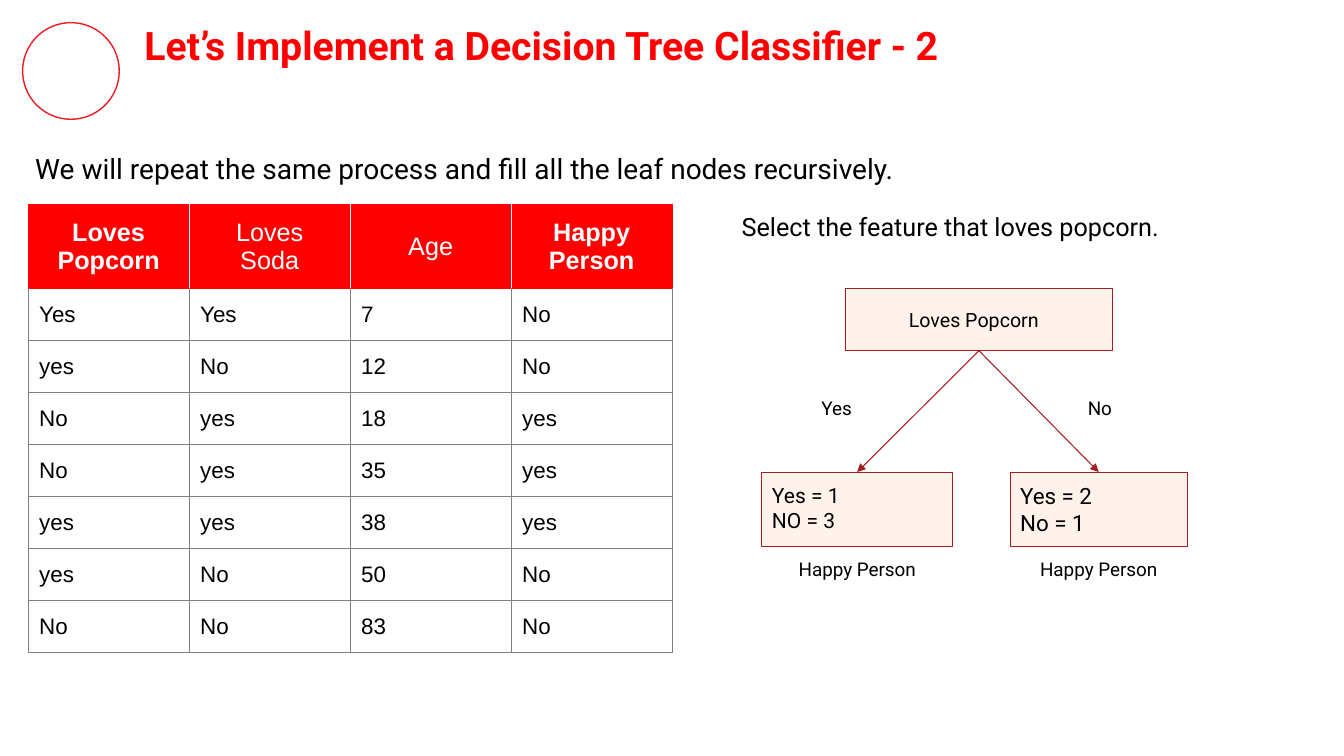
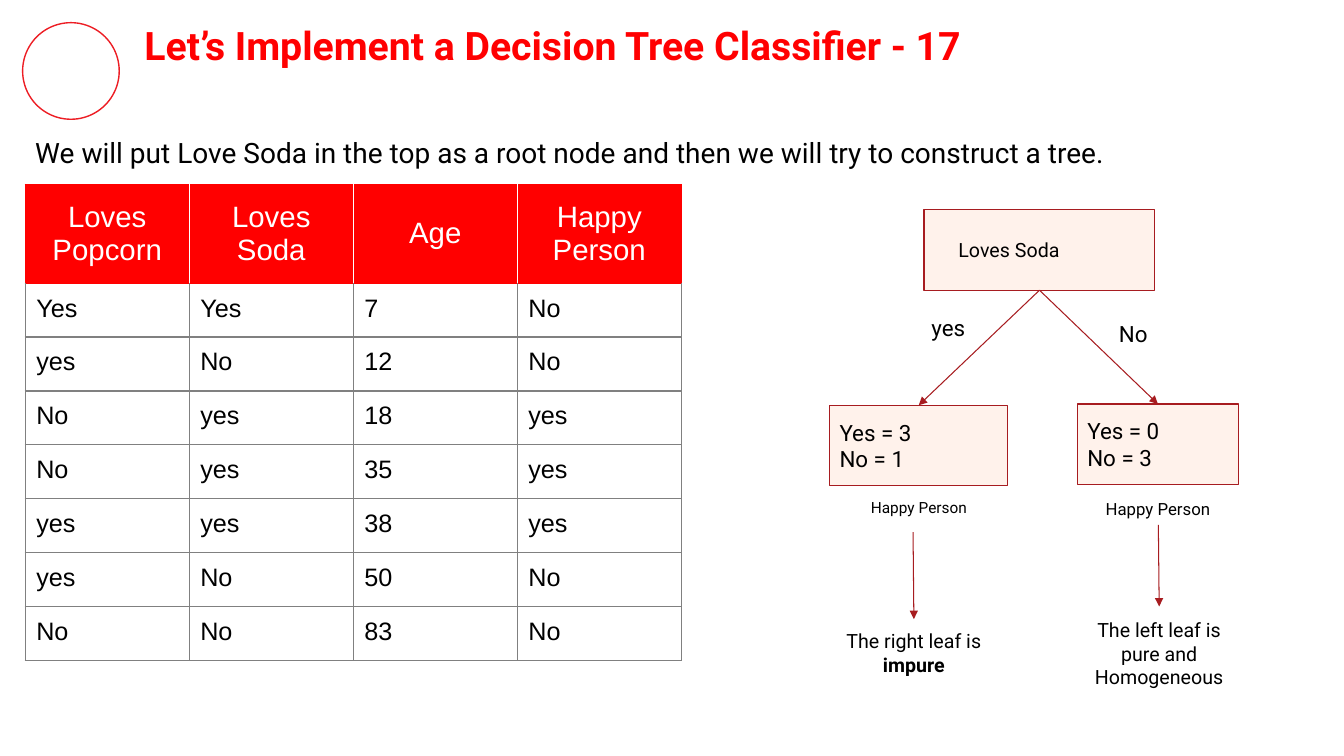
from lxml import etree
from pptx import Presentation, util as u
from pptx.dml.color import RGBColor
from pptx.enum import shapes, text
from pptx.oxml import ns

RED = RGBColor(0xFF, 0x00, 0x01)
HEAD = RGBColor(0xFF, 0x00, 0x00)
RING = RGBColor(0xED, 0x1D, 0x24)
WINE = RGBColor(0xA7, 0x1C, 0x20)
CREAM = RGBColor(0xFF, 0xF2, 0xEB)
GREY = RGBColor(0x80, 0x80, 0x80)
BLACK = RGBColor(0x00, 0x00, 0x00)
WHITE = RGBColor(0xFF, 0xFF, 0xFF)

COLS, ROWS = 160, 90
WIDE, HIGH = u.Inches(13.333), u.Inches(7.5)
LEFT, MID, RIGHT = text.PP_ALIGN.LEFT, text.PP_ALIGN.CENTER, text.PP_ALIGN.RIGHT
TOP, CENTER = text.MSO_ANCHOR.TOP, text.MSO_ANCHOR.MIDDLE
RECT, FLOW = shapes.MSO_SHAPE.RECTANGLE, shapes.MSO_SHAPE.FLOWCHART_PROCESS

PEOPLE = [
    ("Yes", "Yes", "7", "No"),
    ("yes", "No", "12", "No"),
    ("No", "yes", "18", "yes"),
    ("No", "yes", "35", "yes"),
    ("yes", "yes", "38", "yes"),
    ("yes", "No", "50", "No"),
    ("No", "No", "83", "No"),
]


def put(item, **vals):
    for key, val in vals.items():
        setattr(item, key, val)


def col(n):
    return round(n * WIDE / COLS)


def row(n):
    return round(n * HIGH / ROWS)


def area(x, y, w, h):
    return col(x), row(y), col(w), row(h)


def sub(root, tag, **vals):
    return etree.SubElement(root, ns.qn(tag), vals)


class Deck:
    def __init__(self):
        self.prs = Presentation()
        put(self.prs, slide_width=WIDE, slide_height=HIGH)
        self.items = None

    def page(self, title):
        """Start a slide with the shared ring and title."""
        self.items = self.prs.slides.add_slide(self.prs.slide_layouts[6]).shapes
        ring = self.shape(shapes.MSO_SHAPE.OVAL, (2.7, 2.7, 11.5, 11.5), RING, 1)
        ring.fill.background()
        self.label(title, (16, 1.4, 134, 8), 28, color=RED, bold=True)

    def say(self, frame, words, size, color=BLACK, bold=False, face="Roboto",
            align=LEFT, space=None):
        """Fill a text frame: lines split paragraphs, a bar starts a bold run."""
        for i, line in enumerate(words.split("\n")):
            par = frame.add_paragraph() if i else frame.paragraphs[0]
            put(par, alignment=align, line_spacing=space)
            for j, part in enumerate(line.split("|")):
                run = par.add_run()
                run.text = part
                put(run.font, name=face, size=u.Pt(size), bold=bold or j > 0)
                run.font.color.rgb = color

    def frame(self, item, anchor, inset=1.2):
        pad = col(1.2)
        put(item.text_frame, word_wrap=True, vertical_anchor=anchor,
            margin_left=col(inset), margin_right=pad, margin_top=pad, margin_bottom=pad)
        return item.text_frame

    def label(self, words, box, size, anchor=TOP, **style):
        item = self.items.add_textbox(*area(*box))
        self.say(self.frame(item, anchor), words, size, **style)

    def shape(self, kind, box, line, width):
        item = self.items.add_shape(kind, *area(*box))
        item.shadow.inherit = False
        item.line.color.rgb = line
        item.line.width = u.Pt(width)
        return item

    def node(self, words, box, size, kind=RECT, anchor=CENTER, inset=1.2):
        item = self.shape(kind, box, WINE, 0.75)
        item.fill.solid()
        item.fill.fore_color.rgb = CREAM
        self.say(self.frame(item, anchor, inset), words, size)
        return item

    def arrow(self, x1=0, y1=0, x2=0, y2=0):
        line = self.items.add_connector(
            shapes.MSO_CONNECTOR.STRAIGHT, col(x1), row(y1), col(x2), row(y2))
        line.line.color.rgb = WINE
        line.line.width = u.Pt(0.75)
        props = line._element.spPr
        sub(props.find(ns.qn("a:ln")), "a:tailEnd", type="triangle")
        sub(props, "a:effectLst")
        return line

    def branch(self, root, leaves):
        """Join the foot of the root to the top of each leaf."""
        for leaf in leaves:
            line = self.arrow()
            line.begin_connect(root, 2)
            line.end_connect(leaf, 0)

    def edges(self, cell, **colors):
        """Draw cell borders, given by side in the order L, R, T, B."""
        props = cell._tc.get_or_add_tcPr()
        for side, color in colors.items():
            line = sub(props, "a:ln" + side, w=str(u.Pt(1)))
            sub(sub(line, "a:solidFill"), "a:srgbClr", val=str(color))

    def table(self, heads, x, y, wide, top, deep, sizes, anchor, bold=()):
        """Lay out the people table; bold lists the bold head columns."""
        data = [heads] + PEOPLE
        last = len(heads) - 1
        grid = self.items.add_table(
            len(data), len(heads), *area(x, y, wide * len(heads), top + deep * len(PEOPLE))).table
        put(grid, first_row=False, horz_banding=False)
        for part in grid.columns:
            part.width = col(wide)
        for r, line in enumerate(data):
            grid.rows[r].height = row(deep if r else top)
            for c, words in enumerate(line):
                cell, pad = grid.cell(r, c), u.Inches(0.11)
                put(cell, margin_left=pad, margin_right=pad, margin_top=pad,
                    margin_bottom=pad, vertical_anchor=anchor if r else CENTER)
                if r:
                    self.edges(cell, L=GREY, R=GREY, T=GREY if r > 1 else HEAD, B=GREY)
                    cell.fill.background()
                    style = dict(color=BLACK)
                else:
                    self.edges(cell, L=WHITE if c else HEAD,
                               R=WHITE if c < last else HEAD, T=HEAD, B=HEAD)
                    cell.fill.solid()
                    cell.fill.fore_color.rgb = HEAD
                    style = dict(color=WHITE, align=MID, bold=c in bold)
                self.say(cell.text_frame, words, sizes[min(r, 1)], face="Arial", **style)


def popcorn(deck):
    deck.page("Let’s Implement a Decision Tree Classifier - 2")
    deck.label("We will repeat the same process and fill all the leaf nodes recursively.",
               (3, 15.8, 154, 8.5), 20, CENTER)
    deck.table(("Loves Popcorn", "Loves\nSoda", "Age", "Happy Person"),
               3.35, 24.35, 19.17, 10, 6.19, (18, 16), CENTER, bold=(0, 3))
    deck.label("Select the feature that loves popcorn.", (87.1, 24.35, 64.8, 5.8), 18, space=0.9)
    root = deck.node("Loves Popcorn", (100.7, 34.35, 31.7, 7.4), 14, inset=7.5)
    deck.branch(root, [
        deck.node("Yes = 1\nNO = 3", (90.7, 56.2, 22.7, 8.9), 15, anchor=TOP),
        deck.node("Yes = 2\nNo = 1", (120.25, 56.2, 21.1, 8.9), 16, anchor=TOP),
    ])
    for words, x in (("Yes", 96.6), ("No", 128.3)):
        deck.label(words, (x, 46.7, 8.3, 4.5), 13.5, space=0.8)
    for x, wide in ((90.1, 23.9), (120.25, 21.1)):
        deck.label("Happy Person", (x, 65.8, wide, 4.5), 13.5, align=MID, space=0.8)


def soda(deck):
    deck.page("Let’s Implement a Decision Tree Classifier - 17")
    deck.label("We will put Love Soda in the top as a root node and then we will try to "
               "construct a tree.", (3, 14.9, 154, 6.6), 20)
    deck.table(("Loves Popcorn", "Loves Soda", "Age", "Happy Person"),
               3, 21.95, 19.53, 11.76, 6.42, (21, 18), TOP)
    root = deck.node("Loves Soda", (110, 24.95, 27.5, 9.6), 14, inset=4.1)
    deck.branch(root, [
        deck.node("Yes = 3\nNo = 1", (98.75, 48.25, 21.25, 9.6), 16, FLOW),
        deck.node("Yes = 0\nNo = 3", (128.25, 48.1, 19.2, 9.6), 16, FLOW),
    ])
    deck.label("yes", (108.8, 36.25, 7.3, 6.4), 16, align=RIGHT)
    deck.label("No", (132, 36.85, 13.3, 5.2), 16)
    for box, size in (((100.8, 58.8, 17.2, 4.5), 11), ((128.25, 58.9, 19.2, 4.3), 12)):
        deck.label("Happy Person", box, size, align=MID, space=0.8)
    deck.arrow(108.7, 63.35, 108.8, 73.7)
    deck.arrow(137.9, 62.5, 138, 72.2)
    deck.label("The right leaf is |impure", (98.2, 73.7, 21.2, 8), 14, align=MID)
    deck.label("The left leaf is pure and Homogeneous", (128.4, 72.4, 19.2, 10.9), 14, align=MID)


def main():
    deck = Deck()
    popcorn(deck)
    soda(deck)
    deck.prs.save("out.pptx")


if __name__ == "__main__":
    main()
